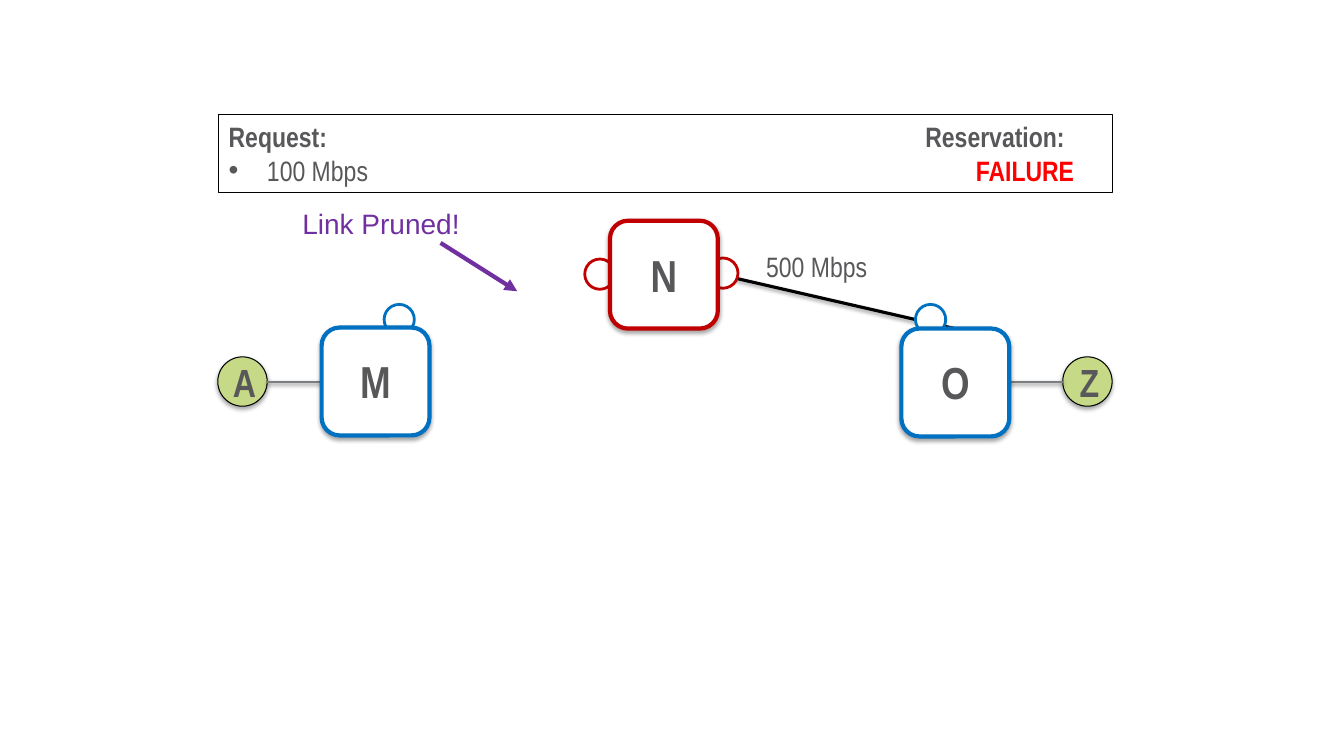
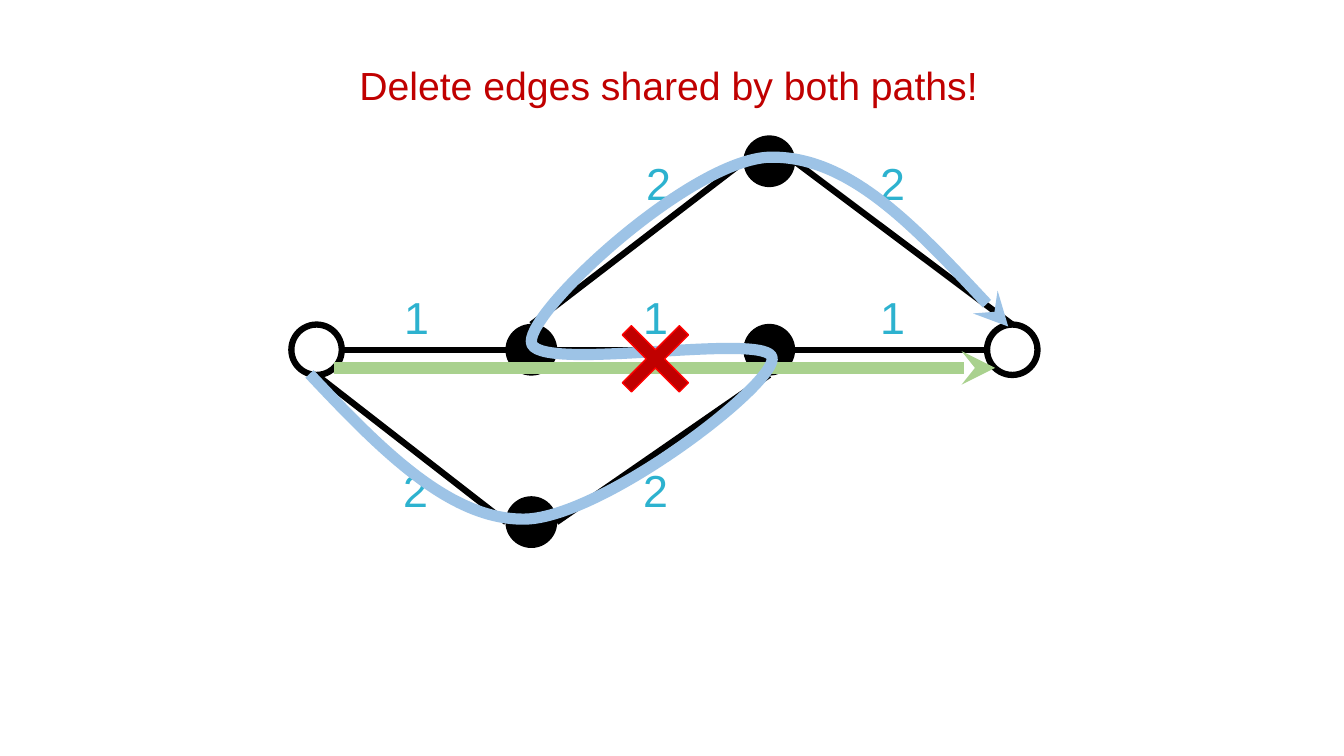
from lxml.etree import SubElement
from pptx import Presentation
from pptx.dml.color import RGBColor
from pptx.enum.shapes import MSO_CONNECTOR as Link, MSO_SHAPE as Kind
from pptx.enum.text import MSO_ANCHOR as Anchor, MSO_AUTO_SIZE as Fit, PP_ALIGN as Align
from pptx.oxml.ns import qn
from pptx.util import Inches, Pt

WIDE, HIGH = 13.33, 7.5  # the grid has one-inch columns and rows
SANS, SLIM = "Arial", "Arial Narrow"
GRAY, BLACK, WHITE = "58585B", "000000", "FFFFFF"
RED, BLUE, PURPLE = "C00000", "0070C0", "7030A0"
LIME, STEEL, TEAL = "C6D986", "7C7F82", "2DB2CF"
GREEN, SKY, ALERT = "A9D18E", "9DC3E6", "FF0000"


def grid(*cells):
    """Turn columns and rows into slide lengths."""
    return [Inches(c) for c in cells]


def tint(color, code):
    """Set a colour from a hex string."""
    color.rgb = RGBColor.from_string(code)


def stroke(shape, code, width, tip=None):
    """Draw the line of a shape, with an arrowhead if asked."""
    tint(shape.line.color, code)
    shape.line.width = Pt(width)
    if tip:
        SubElement(shape.line._get_or_add_ln(), qn("a:tailEnd"), type=tip)


def shade(shape, alpha=0, drop=1.8):
    """Replace the theme shadow by none, or by a soft one below."""
    effects = SubElement(shape._element.spPr, qn("a:effectLst"))
    if alpha:
        cast = SubElement(effects, qn("a:outerShdw"), blurRad=str(Pt(3.1)),
                          dist=str(Pt(drop)), dir="5400000", rotWithShape="0")
        black = SubElement(cast, qn("a:srgbClr"), val=BLACK)
        SubElement(black, qn("a:alpha"), val=str(alpha * 1000))


def write(para, words, size, code, font=SANS, bold=False, align=Align.LEFT):
    """Add one run to a paragraph."""
    para.alignment = align
    run = para.add_run()
    run.text = words
    run.font.name, run.font.size, run.font.bold = font, Pt(size), bold
    tint(run.font.color, code)


def indent(para, left, hang=0, mark=None):
    """Indent a paragraph and give it a bullet if asked."""
    props = para._p.get_or_add_pPr()
    props.set("marL", str(Inches(left)))
    props.set("indent", str(Inches(-hang)))
    if mark:
        SubElement(props, qn("a:buFont"), typeface=SANS)
        SubElement(props, qn("a:buChar"), char=mark)


def label(slide, box, words, size, code, **style):
    """Place a text box and return its frame."""
    frame = slide.shapes.add_textbox(*grid(*box)).text_frame
    frame.word_wrap = True
    write(frame.paragraphs[0], words, size, code, **style)
    return frame


def letter(slide, box, words, size):
    """Place the bold centred letter of a node."""
    frame = label(slide, box, words, size, GRAY, font=SLIM, bold=True,
                  align=Align.CENTER)
    frame.vertical_anchor = Anchor.MIDDLE


def solid(slide, kind, box, fill, edge, width, alpha=0):
    """Place a preset shape."""
    shape = slide.shapes.add_shape(kind, *grid(*box))
    if fill:
        shape.fill.solid()
        tint(shape.fill.fore_color, fill)
    else:
        shape.fill.background()
    stroke(shape, edge, width)
    shade(shape, alpha)
    return shape


def link(slide, start, end, code, width, tip=None, alpha=0):
    """Join two points with a straight line."""
    line = slide.shapes.add_connector(Link.STRAIGHT, *grid(*start, *end))
    stroke(line, code, width, tip)
    shade(line, alpha, 1.6)


def curve(slide, start, bends, code, width, tip):
    """Draw an open curve; each bend is two handles and an end."""
    pen = slide.shapes.build_freeform(*grid(*start), scale=1.0)
    pen.add_line_segments([grid(*s) for bend in bends for s in bend], close=False)
    shape = pen.convert_to_shape()
    route = next(shape._element.iter(qn("a:path")))
    legs = route.findall(qn("a:lnTo"))
    for first in range(0, len(legs), 3):
        arc = SubElement(route, qn("a:cubicBezTo"))
        for leg in legs[first:first + 3]:
            arc.append(leg[0])
            route.remove(leg)
    shape.fill.background()
    stroke(shape, code, width, tip)
    shade(shape)


def heading(slide, box, words, size, code):
    """Move and format the title placeholder."""
    title = slide.shapes.title
    title.left, title.top, title.width, title.height = grid(*box)
    frame = title.text_frame
    frame.auto_size, frame.word_wrap = Fit.NONE, True
    frame.vertical_anchor = Anchor.TOP
    write(frame.paragraphs[0], words, size, code, align=Align.CENTER)


def request(slide):
    """Draw the request box and its outcome."""
    box = solid(slide, Kind.RECTANGLE, (2.17, 1.14, 8.86, 0.77), None, BLACK, 0.75)
    frame = box.text_frame
    frame.vertical_anchor = Anchor.TOP
    write(frame.paragraphs[0], "Request: ", 20, GRAY, SLIM, True)
    item = frame.add_paragraph()
    write(item, "100 Mbps", 20, GRAY, SLIM)
    indent(item, 0.38, 0.38, "•")
    frame = label(slide, (9.08, 1.14, 3.1, 0.77), "Reservation: ", 20, GRAY,
                  font=SLIM, bold=True)
    item = frame.add_paragraph()
    write(item, "FAILURE", 20, ALERT, SLIM, True)
    indent(item, 0.5)


def prune(slide):
    """Build the slide with the pruned link."""
    link(slide, (9.47, 3.26), (7.12, 2.72), BLACK, 2.25, alpha=38)
    ends = (("Z", 10.54, 10), ("A", 2.16, 2.65))
    for name, left, start in ends:
        solid(slide, Kind.OVAL, (left, 3.54, 0.49, 0.49), LIME, BLACK, 0.75, 35)
        link(slide, (start, 3.79), (start + 0.54, 3.79), STEEL, 2, alpha=38)
    for name, left, start in ends:
        letter(slide, (left, 3.5, 0.53, 0.57), name, 28)
    label(slide, (7.5, 2.43, 1.3, 0.44), "500 Mbps", 20, GRAY, font=SLIM)
    hubs = (("N", 6.05, 2.19, RED, ((5.8, 2.57), (7.02, 2.56))),
            ("M", 3.19, 3.25, BLUE, ((3.81, 3.02),)),
            ("O", 8.94, 3.26, BLUE, ((9.08, 3.02),)))
    for name, left, top, code, ports in hubs:
        for port in ports:
            solid(slide, Kind.OVAL, (*port, 0.3, 0.3), WHITE, code, 2)
        solid(slide, Kind.ROUNDED_RECTANGLE, (left, top, 1.07, 1.07), WHITE, code, 3, 35)
        letter(slide, (left, top + 0.21, 1.07, 0.64), name, 32)
    request(slide)
    link(slide, (4.37, 2.41), (5.13, 2.89), PURPLE, 3, "triangle")
    label(slide, (2.9, 2, 2.04, 0.44), "Link Pruned!", 20, PURPLE)


def paths(slide):
    """Build the slide with the two paths."""
    half = 0.25
    nodes = {"start": (3.14, 3.47), "near": (5.27, 3.47), "low": (5.27, 5.18),
             "top": (7.63, 1.6), "far": (7.63, 3.47), "end": (10.04, 3.47)}
    sides = {"left": (-half, 0), "right": (half, 0),
             "up": (0, -half), "down": (0, half)}

    def spot(node, side):
        """Return the point on one side of a node."""
        return tuple(n + s for n, s in zip(nodes[node], sides[side]))

    def dots(names, fill, width):
        """Draw the named nodes."""
        for name in names:
            x, y = nodes[name]
            solid(slide, Kind.OVAL, (x - half, y - half, 2 * half, 2 * half),
                  fill, BLACK, width)

    def edges(pairs):
        """Join nodes side to side."""
        for a, out, b, into in pairs:
            link(slide, spot(a, out), spot(b, into), BLACK, 4.5)

    def costs(words, places):
        """Label edges with their cost."""
        for left, top in places:
            label(slide, (left, top, 0.33, 0.64), words, 32, TEAL)

    heading(slide, (2.51, 0.56, 8.24, 0.57),
            "Delete edges shared by both paths!", 28, RED)
    dots(("near", "low", "top", "far"), BLACK, 1)
    edges((("top", "right", "end", "up"), ("low", "right", "far", "down"),
           ("start", "down", "low", "left"), ("top", "left", "near", "up")))
    costs("2", ((6.31, 1.5), (8.63, 1.5), (3.9, 4.54), (6.28, 4.54)))
    dots(("start", "end"), WHITE, 4.5)
    edges((("start", "right", "near", "left"), ("far", "left", "near", "right"),
           ("end", "left", "far", "right")))
    costs("1", ((x, 2.83) for x in (3.91, 6.28, 8.63)))
    link(slide, (3.31, 3.65), (9.87, 3.65), GREEN, 8, "stealth")
    curve(slide, (3.07, 3.71), (
        ((3.76, 4.44), (4.46, 5.17), (5.22, 5.15)),
        ((5.98, 5.12), (7.65, 3.85), (7.66, 3.56)),
        ((7.67, 3.27), (5.27, 3.72), (5.27, 3.39)),
        ((5.26, 3.06), (6.85, 1.59), (7.63, 1.56)),
        ((8.42, 1.54), (9.21, 2.39), (10, 3.24))), SKY, 8, "stealth")
    cross = solid(slide, Kind.CROSS, (6.1, 3.16, 0.8, 0.8), RED, ALERT, 1)
    cross.adjustments[0] = 0.42
    cross.rotation = 45


def main():
    """Build and save the deck."""
    deck = Presentation()
    deck.slide_width, deck.slide_height = grid(WIDE, HIGH)
    bare, titled = deck.slide_layouts[6], deck.slide_layouts[5]
    prune(deck.slides.add_slide(bare))
    paths(deck.slides.add_slide(titled))
    deck.save("out.pptx")


main()
